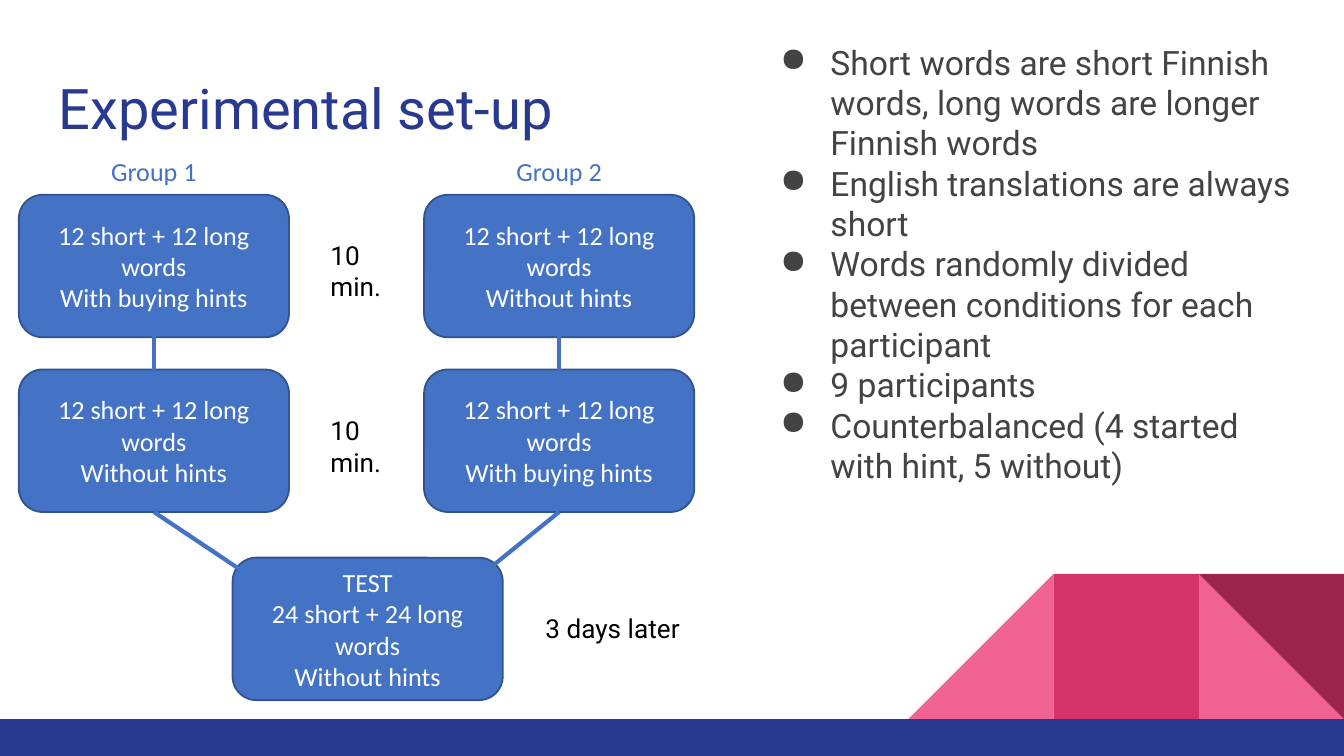
from pptx import Presentation
from pptx.dml.color import RGBColor
from pptx.enum.shapes import MSO_CONNECTOR, MSO_SHAPE as Preset
from pptx.enum.text import MSO_ANCHOR as Anchor, PP_ALIGN as Align
from pptx.oxml.ns import qn
from pptx.oxml.xmlchemy import OxmlElement
from pptx.util import Pt

COLORS = {
    "navy": "2A3990", "pink": "F06292", "rose": "D23369", "wine": "9C254D",
    "blue": "4472C4", "edge": "31538F", "white": "FFFFFF", "black": "000000",
    "gray": "434343",
}
COLORS = {name: RGBColor.from_string(value) for name, value in COLORS.items()}


def write(shape, lines, size=14, font="Roboto", color="black", align=Align.LEFT,
          anchor=Anchor.TOP, inset=(7.2, 7.2), bullet=None):
    frame = shape.text_frame
    frame.word_wrap = True
    frame.vertical_anchor = anchor
    frame.margin_left = frame.margin_right = Pt(inset[0])
    frame.margin_top = frame.margin_bottom = Pt(inset[1])
    for index, line in enumerate(lines):
        paragraph = frame.add_paragraph() if index else frame.paragraphs[0]
        paragraph.alignment = align
        run = paragraph.add_run()
        run.text = line
        run.font.size = Pt(size)
        run.font.name = font
        run.font.color.rgb = COLORS[color]
        if bullet:
            properties = paragraph._p.get_or_add_pPr()
            properties.set("marL", str(Pt(36)))
            properties.set("indent", str(-Pt(27)))
            mark = OxmlElement("a:buChar")
            mark.set("char", bullet)
            properties.append(mark)


def add_block(preset, box, fill, edge=None):
    block = slide.shapes.add_shape(preset, *map(Pt, box))
    block.shadow.inherit = False
    block.fill.solid()
    block.fill.fore_color.rgb = COLORS[fill]
    if edge:
        block.line.color.rgb = COLORS[edge]
        block.line.width = Pt(1)
    else:
        block.line.fill.background()
    return block


prs = Presentation()
prs.slide_width, prs.slide_height = Pt(720), Pt(405)
slide = prs.slides.add_slide(prs.slide_layouts[6])

tile = 77.8
footer_top = 385.2
tile_top = footer_top - tile
right, middle, left = [720 - tile * n for n in (1, 2, 3)]
add_block(Preset.RIGHT_TRIANGLE, (right, tile_top, tile, tile), "pink")
rising = add_block(Preset.RIGHT_TRIANGLE, (left, tile_top, tile, tile), "pink")
rising._element.spPr.find(qn("a:xfrm")).set("flipH", "1")
add_block(Preset.RECTANGLE, (middle, tile_top, tile, tile), "rose")
corner = add_block(Preset.RIGHT_TRIANGLE, (right, tile_top, tile, tile), "wine")
corner.rotation = 180
add_block(Preset.RECTANGLE, (0, footer_top, 720, 19.8), "navy")

title = slide.shapes.add_textbox(Pt(24.5), Pt(32.4), Pt(671), Pt(47.5))
write(title, ["Experimental set-up"], size=30, color="navy")

step_width, step_height = 144.7, 76.3
columns, rows = (10.1, 227.2), (104.4, 198)
test_left, test_top = 124.6, 298.8
words, hints, no_hints = "12 short + 12 long words", "With buying hints", "Without hints"
steps = [
    (columns[0], rows[0], [words, hints]),
    (columns[1], rows[0], [words, no_hints]),
    (columns[0], rows[1], [words, no_hints]),
    (columns[1], rows[1], [words, hints]),
    (test_left, test_top, ["TEST", "24 short + 24 long words", no_hints]),
]
for x, y, lines in steps:
    step = add_block(Preset.FLOWCHART_ALTERNATE_PROCESS,
                     (x, y, step_width, step_height), "blue", "edge")
    write(step, lines, font="Calibri", color="white", align=Align.CENTER,
          anchor=Anchor.MIDDLE, inset=(5.1, 2.7))

centers = [x + step_width / 2 for x in columns]
links = [(x, 173.5, x, rows[1]) for x in centers]
links += [
    (centers[0], rows[1] + step_height, 131, 306.7),
    (centers[1], rows[1] + step_height, 262.1, 304.6),
]
for ends in links:
    link = slide.shapes.add_connector(MSO_CONNECTOR.STRAIGHT, *map(Pt, ends))
    link.line.color.rgb = COLORS["blue"]
    link.line.width = Pt(2.25)
    link._element.spPr.append(OxmlElement("a:effectLst"))

for number, center in enumerate(centers, 1):
    group = slide.shapes.add_textbox(Pt(center - 49), Pt(80.6), Pt(98), Pt(16.6))
    write(group, [f"Group {number}"], font="Calibri", color="blue",
          align=Align.CENTER, inset=(5.1, 2.7))

durations = [
    ("10 min.", (169.9, 121, 43.2, 42.5)),
    ("10 min.", (169.9, 215, 43.2, 42.5)),
    ("3 days later", (285.1, 321.1, 97.9, 32.4)),
]
for label, box in durations:
    write(slide.shapes.add_textbox(*map(Pt, box)), [label])

details = slide.shapes.add_textbox(Pt(401.8), Pt(15.1), Pt(306), Pt(254.9))
write(details, [
    "Short words are short Finnish words, long words are longer Finnish words",
    "English translations are always short",
    "Words randomly divided between conditions for each participant",
    "9 participants",
    "Counterbalanced (4 started with hint, 5 without)",
], size=18, color="gray", bullet="●")

prs.save("out.pptx")
